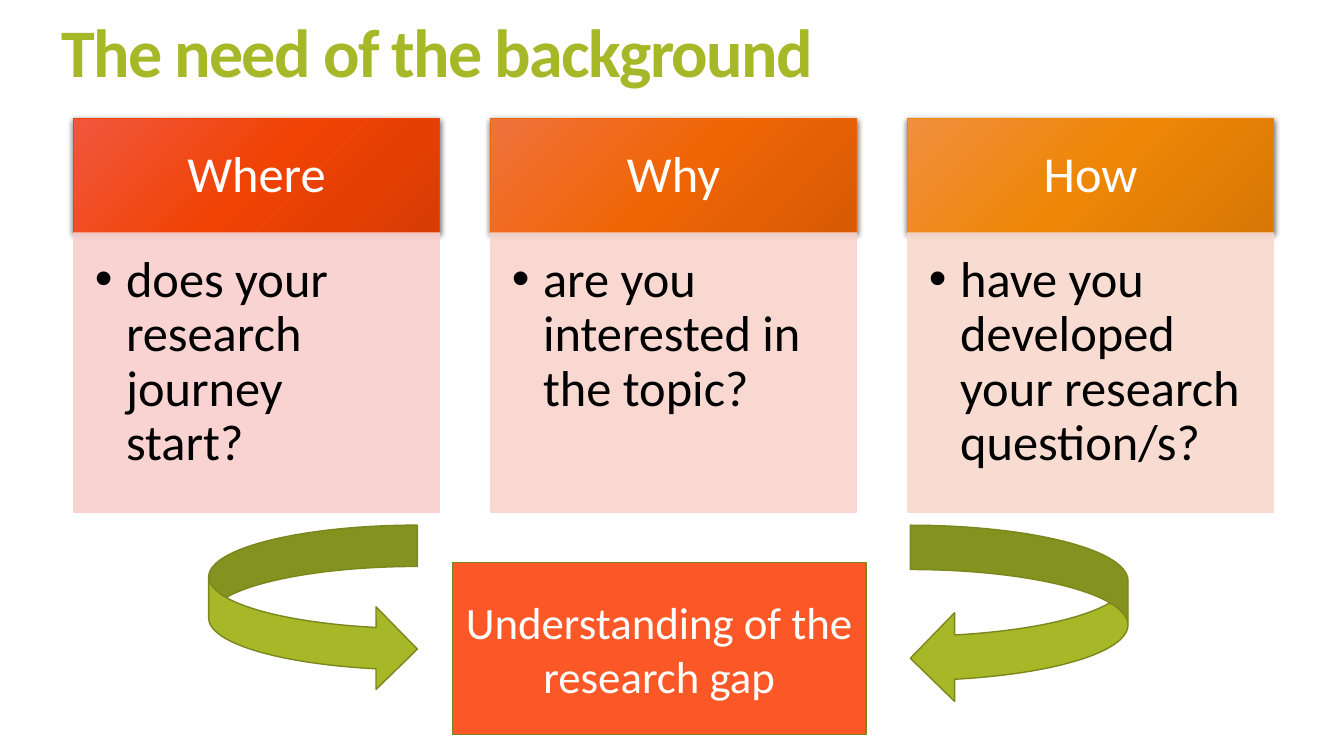
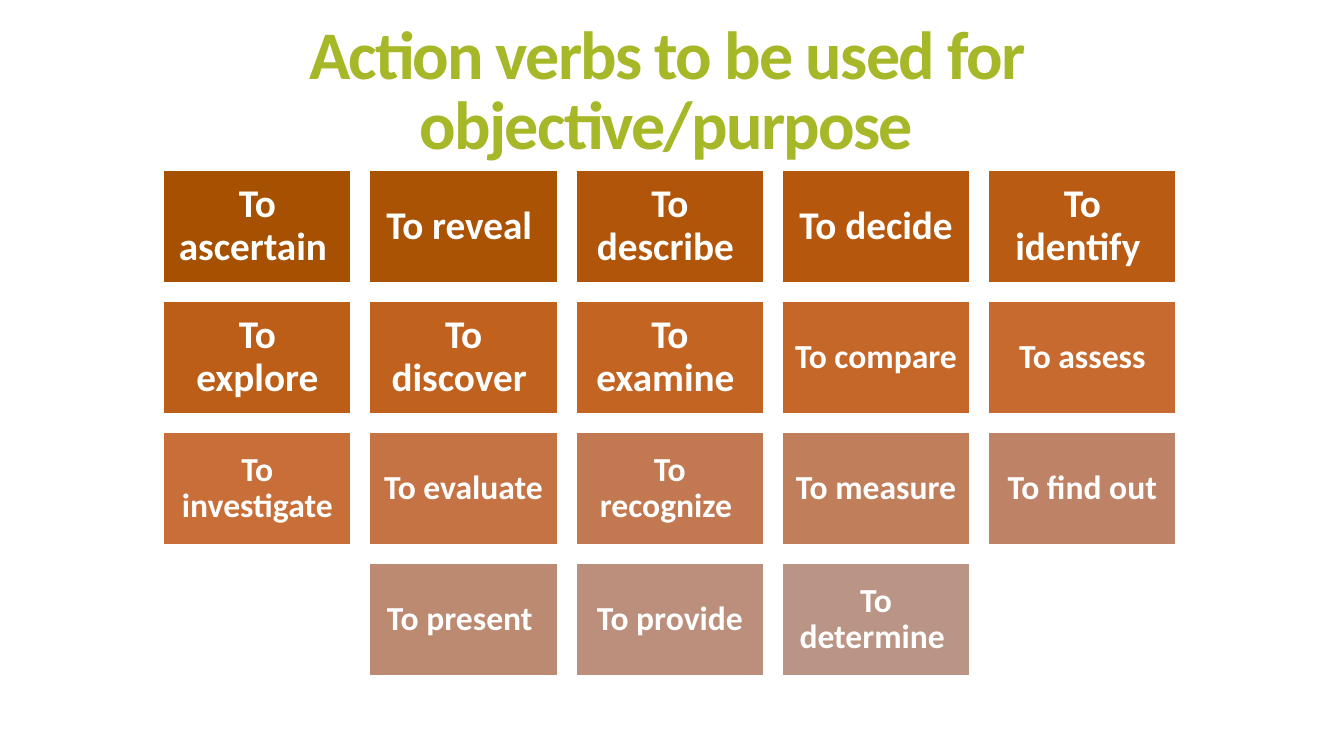
import collections

import lxml.etree
import pptx
import pptx.dml.color
import pptx.enum.shapes
import pptx.enum.text
import pptx.oxml
import pptx.oxml.ns
import pptx.util

Box = collections.namedtuple("Box", "left top width height")
SHAPE = pptx.enum.shapes.MSO_SHAPE
ALIGN = pptx.enum.text.PP_ALIGN
ANCHOR = pptx.enum.text.MSO_ANCHOR
WIDTH, HEIGHT = pptx.util.Inches(13.33), pptx.util.Inches(7.5)
FONT = "Calibri"
GREEN, OLIVE, ORANGE, WHITE, BLACK = "A6B727", "7B871D", "FC5827", "FFFFFF", "000000"

# Heading, question, gradient from light to dark, body tint
QUESTIONS = [
    ("Where", "does your research journey start?", ("F1573D", "F04304", "D83C04"), "F9CFCC"),
    ("Why", "are you interested in the topic?", ("F0723D", "F06505", "D75A04"), "F9D4CC"),
    ("How", "have you developed your research question/s?", ("F08F3D", "EF8606", "D77805"), "F9D9CC"),
]
VERBS = [
    ("To ascertain ", "A65001"), ("To reveal ", "AB5305"), ("To describe ", "B05509"),
    ("To decide", "B5580D"), ("To identify ", "B95B12"), ("To explore", "BC5E17"),
    ("To discover ", "C0611D"), ("To examine ", "C36423"), ("To compare", "C56729"),
    ("To assess", "C76A30"), ("To investigate", "C86E38"), ("To evaluate", "C57344"),
    ("To recognize ", "C27850"), ("To measure", "C07E5B"), ("To find out", "BE8366"),
    ("To present ", "BC8971"), ("To provide", "BB8F7B"), ("To determine ", "BA9585"),
]
LARGE_VERBS = 8  # the verbs before this index are set larger


def color(hex_value):
    return pptx.dml.color.RGBColor.from_string(hex_value)


def percent(left, top, width, height):
    """A box given in percent of the slide's size."""
    return Box(*(round(share * side / 100) for share, side in
                 zip((left, top, width, height), (WIDTH, HEIGHT) * 2)))


def drawing(tag, body="", **attributes):
    """A DrawingML element, with its children as XML text."""
    values = " ".join(f'{key}="{value}"' for key, value in attributes.items())
    namespace = pptx.oxml.ns.nsdecls("a")
    return pptx.oxml.parse_xml(f"<a:{tag} {namespace} {values}>{body}</a:{tag}>")


def apply(target, formats):
    for name, value in formats.items():
        setattr(target, name, value)


def write(shape, text, size, ink=WHITE, bold=False, align=ALIGN.CENTER, spacing=0.9,
          anchor=ANCHOR.MIDDLE, insets=(0.1, 0.05, 0.1, 0.05)):
    """Fill a shape with one paragraph and return that paragraph."""
    frame = shape.text_frame
    sides = ("margin_left", "margin_top", "margin_right", "margin_bottom")
    apply(frame, {"word_wrap": True, "vertical_anchor": anchor,
                  **{side: pptx.util.Inches(inset) for side, inset in zip(sides, insets)}})
    paragraph = frame.paragraphs[0]
    apply(paragraph, {"alignment": align, "line_spacing": spacing})
    run = paragraph.add_run()
    run.text = text
    apply(run.font, {"name": FONT, "size": pptx.util.Pt(size), "bold": bold})
    run.font.color.rgb = color(ink)
    return paragraph


def add_panel(slide, box, fill, line, kind=SHAPE.RECTANGLE, line_width=1):
    panel = slide.shapes.add_shape(kind, *box)
    panel.shadow.inherit = False
    panel.fill.solid()
    panel.fill.fore_color.rgb = color(fill)
    panel.line.color.rgb = color(line)
    panel.line.width = pptx.util.Pt(line_width)
    return panel


def add_title(slide, box, text, align=ALIGN.LEFT):
    title = slide.shapes.add_textbox(*box)
    paragraph = write(title, text, 48.6, GREEN, True, align, spacing=0.85)
    paragraph.runs[0].font._element.set("spc", "-120")


def shade_heading(heading, shades):
    """Give a heading its diagonal gradient and soft shadow."""
    properties = heading._element.spPr
    stops = "".join(f'<a:gs pos="{position}"><a:srgbClr val="{shade}"/></a:gs>'
                    for position, shade in zip((0, 50000, 100000), shades))
    gradient = drawing("gradFill", f'<a:gsLst>{stops}</a:gsLst><a:lin ang="2700000" scaled="0"/>',
                       rotWithShape=1)
    properties.replace(properties.find(pptx.oxml.ns.qn("a:solidFill")), gradient)
    shadow = drawing("outerShdw", '<a:srgbClr val="000000"><a:alpha val="63000"/></a:srgbClr>',
                     blurRad=pptx.util.Pt(4.5), dist=pptx.util.Pt(1.5), dir=5400000,
                     algn="ctr", rotWithShape=0)
    properties.find(pptx.oxml.ns.qn("a:effectLst")).append(shadow)


def add_question(slide, box, heading_text, question, shades, tint):
    """One column: a heading over a tinted body with a bullet."""
    split = round(box.height * 0.29)
    heading = add_panel(slide, box._replace(height=split), shades[1], shades[1], line_width=0.75)
    shade_heading(heading, shades)
    write(heading, heading_text, 36, insets=(0.28, 0.16, 0.28, 0.16))

    body_box = box._replace(top=box.top + split, height=box.height - split)
    body = add_panel(slide, body_box, tint, tint, line_width=0.75)
    for tone in body._element.spPr.iter(pptx.oxml.ns.qn("a:srgbClr")):
        tone.append(drawing("alpha", val=90000))
    paragraph = write(body, question, 36, BLACK, align=ALIGN.LEFT, anchor=ANCHOR.TOP,
                      insets=(0.21, 0.21, 0.28, 0.32))
    layout = paragraph._element.get_or_add_pPr()
    indent = pptx.util.Inches(0.31)
    layout.set("marL", str(indent))
    layout.set("indent", str(-indent))
    layout.append(drawing("buFont", typeface="Arial"))
    layout.append(drawing("buChar", char="•"))


def add_questions(slide, area):
    gap_share = 0.14  # gap relative to column width
    count = len(QUESTIONS)
    width = area.width / (count + (count - 1) * gap_share)
    for index, question in enumerate(QUESTIONS):
        left = area.left + index * width * (1 + gap_share)
        add_question(slide, area._replace(left=round(left), width=round(width)), *question)


def add_verbs(slide, area, columns=5):
    """A grid of tiles whose last, shorter row is centred."""
    rows = -(-len(VERBS) // columns)
    gap_share = 0.1  # gap relative to tile width
    width = area.width / (columns + (columns - 1) * gap_share)
    gap = width * gap_share
    height = (area.height - (rows - 1) * gap) / rows
    for index, (verb, fill) in enumerate(VERBS):
        row, column = divmod(index, columns)
        in_row = min(columns, len(VERBS) - row * columns)
        column += (columns - in_row) / 2
        tile_box = Box(*map(round, (area.left + column * (width + gap),
                                    area.top + row * (height + gap), width, height)))
        tile = add_panel(slide, tile_box, fill, WHITE)
        size, inset = (28, 0.12) if index < LARGE_VERBS else (24, 0.1)
        write(tile, verb, size, bold=True, insets=(inset,) * 4)


def background_slide(slide):
    add_title(slide, percent(3.83, 2.53, 88.35, 9.87), "The need of the background")
    add_questions(slide, percent(5.48, 15.7, 89.27, 52.07))
    # Both arrows lead to the research gap
    research_gap = add_panel(slide, percent(33.68, 74.4, 30.75, 22.8), ORANGE, OLIVE)
    write(research_gap, "Understanding of the research gap", 32, spacing=1.0)
    for kind, box in ((SHAPE.CURVED_RIGHT_ARROW, percent(15.53, 69.47, 15.53, 21.87)),
                      (SHAPE.CURVED_LEFT_ARROW, percent(67.73, 69.47, 16.2, 23.47))):
        add_panel(slide, box, GREEN, OLIVE, kind)


def verbs_slide(slide):
    add_title(slide, percent(5.4, 7.33, 88.35, 10.13),
              "Action verbs to be used for objective/purpose", ALIGN.CENTER)
    add_verbs(slide, percent(12.17, 22.53, 75.33, 66.8))


def main():
    deck = pptx.Presentation()
    apply(deck, {"slide_width": WIDTH, "slide_height": HEIGHT})
    for build in (background_slide, verbs_slide):
        build(deck.slides.add_slide(deck.slide_layouts[6]))
    deck.save("out.pptx")


if __name__ == "__main__":
    main()
